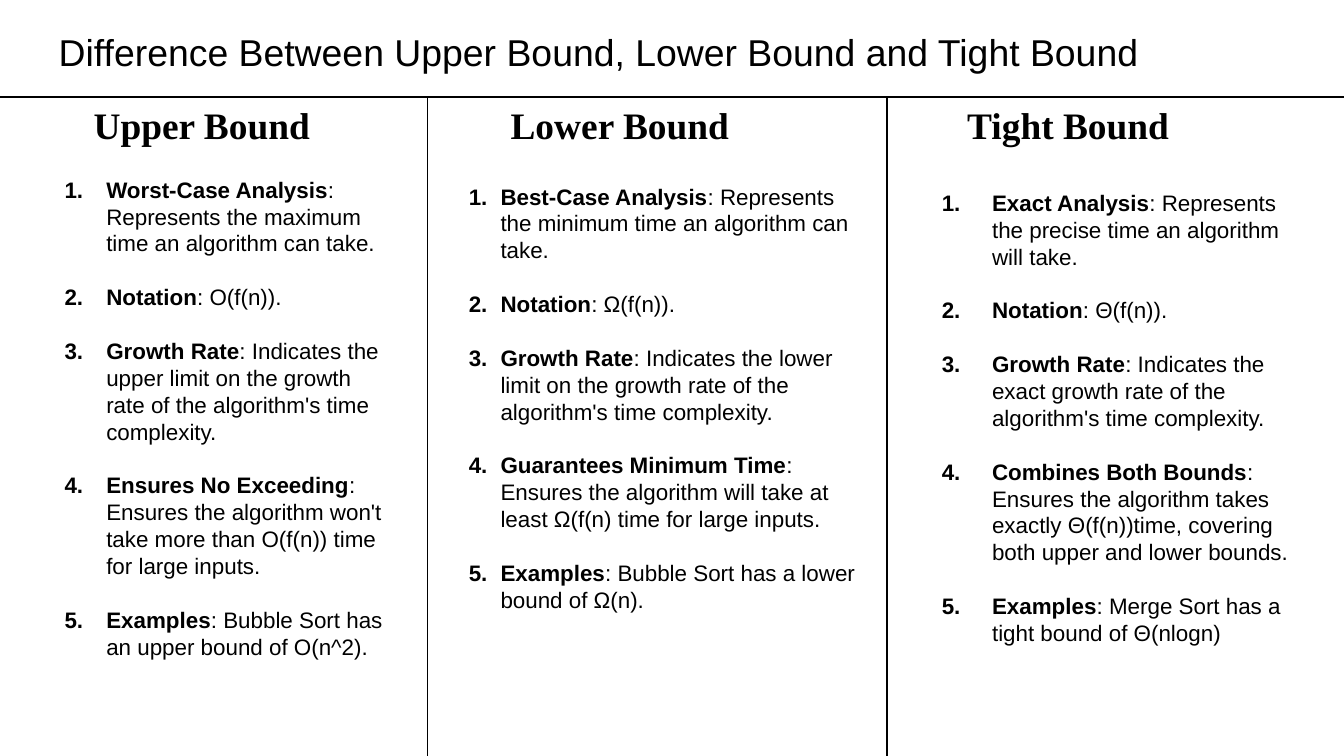
from dataclasses import dataclass

from lxml import etree
from pptx import Presentation
from pptx.dml.color import RGBColor
from pptx.enum.shapes import MSO_CONNECTOR
from pptx.oxml.ns import qn
from pptx.util import Cm, Pt

STRAIGHT = MSO_CONNECTOR.STRAIGHT
PAGE_WIDTH, PAGE_HEIGHT = 25.4, 14.29
RULE_TOP = 1.83
DIVIDERS = (8.08, 16.76)


@dataclass(frozen=True)
class Theme:
    ink: RGBColor = RGBColor(0, 0, 0)
    sans: str = "Arial"
    serif: str = "Times New Roman"
    large: float = 20
    body: float = 12
    leading: float = 1.2
    rule: float = 0.75


COLUMNS = [
    {
        "heading": "Upper Bound",
        "heading_left": 1.52,
        "frame": (0.97, 3.2, 6.71, 9.5),
        "indent": 0.79,
        "points": [
            ("Worst-Case Analysis", "Represents the maximum time an algorithm can take."),
            ("Notation", "O(f(n))."),
            ("Growth Rate", "Indicates the upper limit on the growth rate of the algorithm's time complexity."),
            ("Ensures No Exceeding", "Ensures the algorithm won't take more than O(f(n)) time for large inputs."),
            ("Examples", "Bubble Sort has an upper bound of O(n^2)."),
        ],
    },
    {
        "heading": "Lower Bound",
        "heading_left": 9.4,
        "frame": (8.61, 3.33, 7.92, 8.56),
        "indent": 0.6,
        "points": [
            ("Best-Case Analysis", "Represents the minimum time an algorithm can take."),
            ("Notation", "Ω(f(n))."),
            ("Growth Rate", "Indicates the lower limit on the growth rate of the algorithm's time complexity."),
            ("Guarantees Minimum Time", "Ensures the algorithm will take at least Ω(f(n) time for large inputs."),
            ("Examples", "Bubble Sort has a lower bound of Ω(n)."),
        ],
    },
    {
        "heading": "Tight Bound",
        "heading_left": 18.03,
        "frame": (17.55, 3.45, 7.44, 8.97),
        "indent": 0.95,
        "points": [
            ("Exact Analysis", "Represents the precise time an algorithm will take."),
            ("Notation", "Θ(f(n))."),
            ("Growth Rate", "Indicates the exact growth rate of the algorithm's time complexity."),
            ("Combines Both Bounds", "Ensures the algorithm takes exactly Θ(f(n))time, covering both upper and lower bounds."),
            ("Examples", "Merge Sort has a tight bound of Θ(nlogn)"),
        ],
    },
]


def add_span(para, text, *, size, font, color, bold=False):
    span = para.add_run()
    span.text = text
    span.font.size = Pt(size)
    span.font.name = font
    span.font.color.rgb = color
    span.font.bold = bold


def number_para(para, indent):
    properties = para._p.get_or_add_pPr()
    properties.set("marL", str(Cm(indent)))
    properties.set("indent", str(-Cm(indent)))
    etree.SubElement(properties, qn("a:buAutoNum"), type="arabicPeriod")


class SlideWriter:
    def __init__(self, page, theme):
        self.page = page
        self.theme = theme

    def frame(self, left, top, width, height):
        box = self.page.shapes.add_textbox(Cm(left), Cm(top), Cm(width), Cm(height))
        box.text_frame.word_wrap = True
        return box.text_frame

    def line(self, left, top, right, bottom):
        rule = self.page.shapes.add_connector(STRAIGHT, Cm(left), Cm(top), Cm(right), Cm(bottom))
        rule.line.color.rgb = self.theme.ink
        rule.line.width = Pt(self.theme.rule)
        etree.SubElement(rule._element.spPr, qn("a:effectLst"))

    def heading(self, text, left, top, width, *, font, bold=False, inset=0.13):
        frame = self.frame(left, top, width, 1.12)
        frame.margin_top = frame.margin_bottom = Cm(inset)
        para = frame.paragraphs[0]
        para.line_spacing = Pt(self.theme.large * self.theme.leading)
        add_span(para, text, size=self.theme.large, font=font, color=self.theme.ink, bold=bold)

    def numbered_list(self, points, place, indent):
        frame = self.frame(*place)
        pitch = Pt(self.theme.body * self.theme.leading)
        style = {"size": self.theme.body, "font": self.theme.sans, "color": self.theme.ink}
        for index, (term, detail) in enumerate(points):
            para = frame.add_paragraph() if index else frame.paragraphs[0]
            para.line_spacing = pitch
            para.space_before = pitch if index else Pt(0)
            number_para(para, indent)
            add_span(para, term, bold=True, **style)
            add_span(para, f": {detail}", **style)


def main():
    deck = Presentation()
    deck.slide_width, deck.slide_height = Cm(PAGE_WIDTH), Cm(PAGE_HEIGHT)
    theme = Theme()
    writer = SlideWriter(deck.slides.add_slide(deck.slide_layouts[6]), theme)

    writer.heading("Difference Between Upper Bound, Lower Bound and Tight Bound",
                   0.86, 0.3, 23.67, font=theme.sans, inset=0.25)
    writer.line(0, RULE_TOP, PAGE_WIDTH, RULE_TOP)
    for divider in DIVIDERS:
        writer.line(divider, RULE_TOP, divider, PAGE_HEIGHT)
    for column in COLUMNS:
        writer.heading(column["heading"], column["heading_left"], 1.8, 5.03,
                       font=theme.serif, bold=True)
        writer.numbered_list(column["points"], column["frame"], column["indent"])

    deck.save("out.pptx")


if __name__ == "__main__":
    main()
